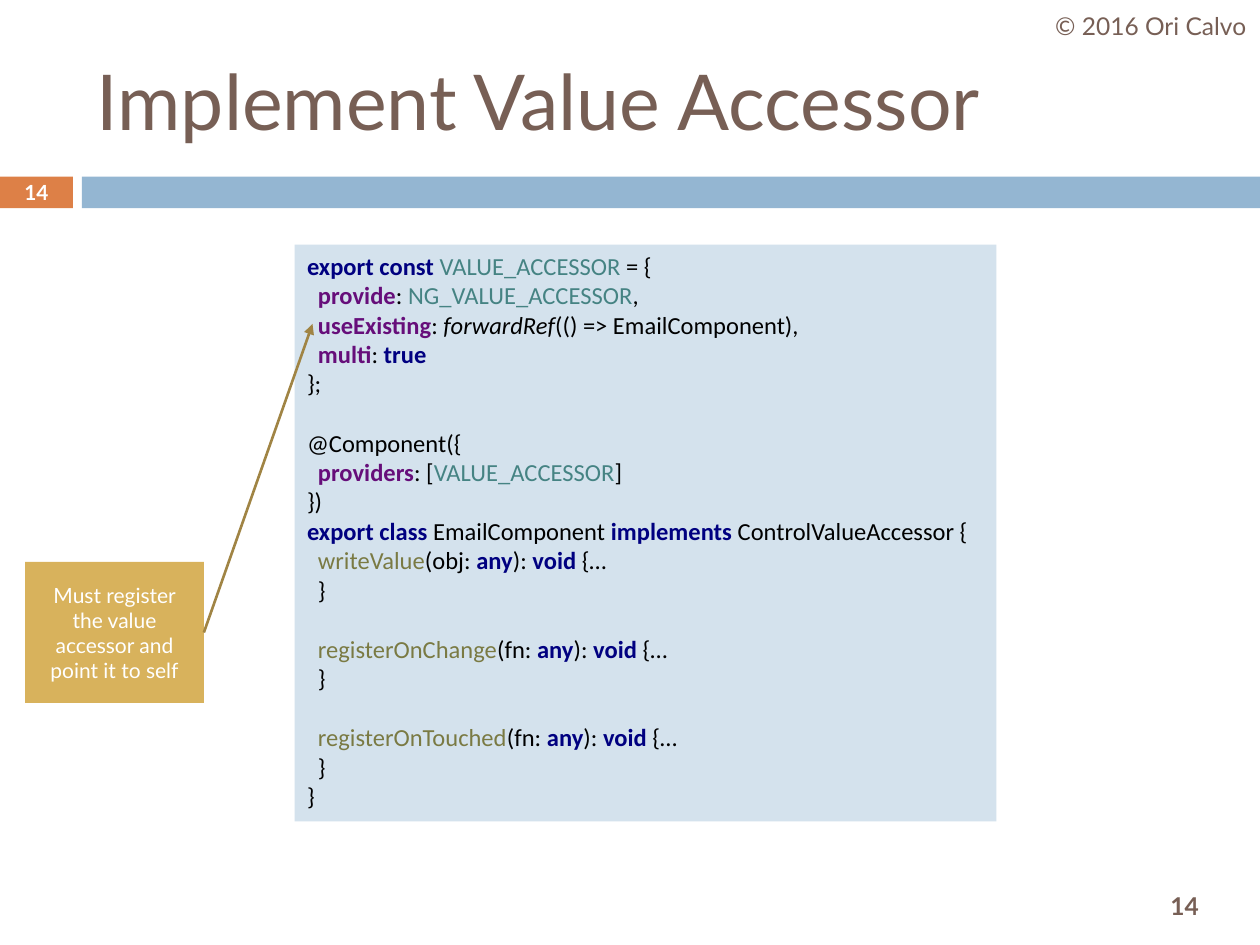
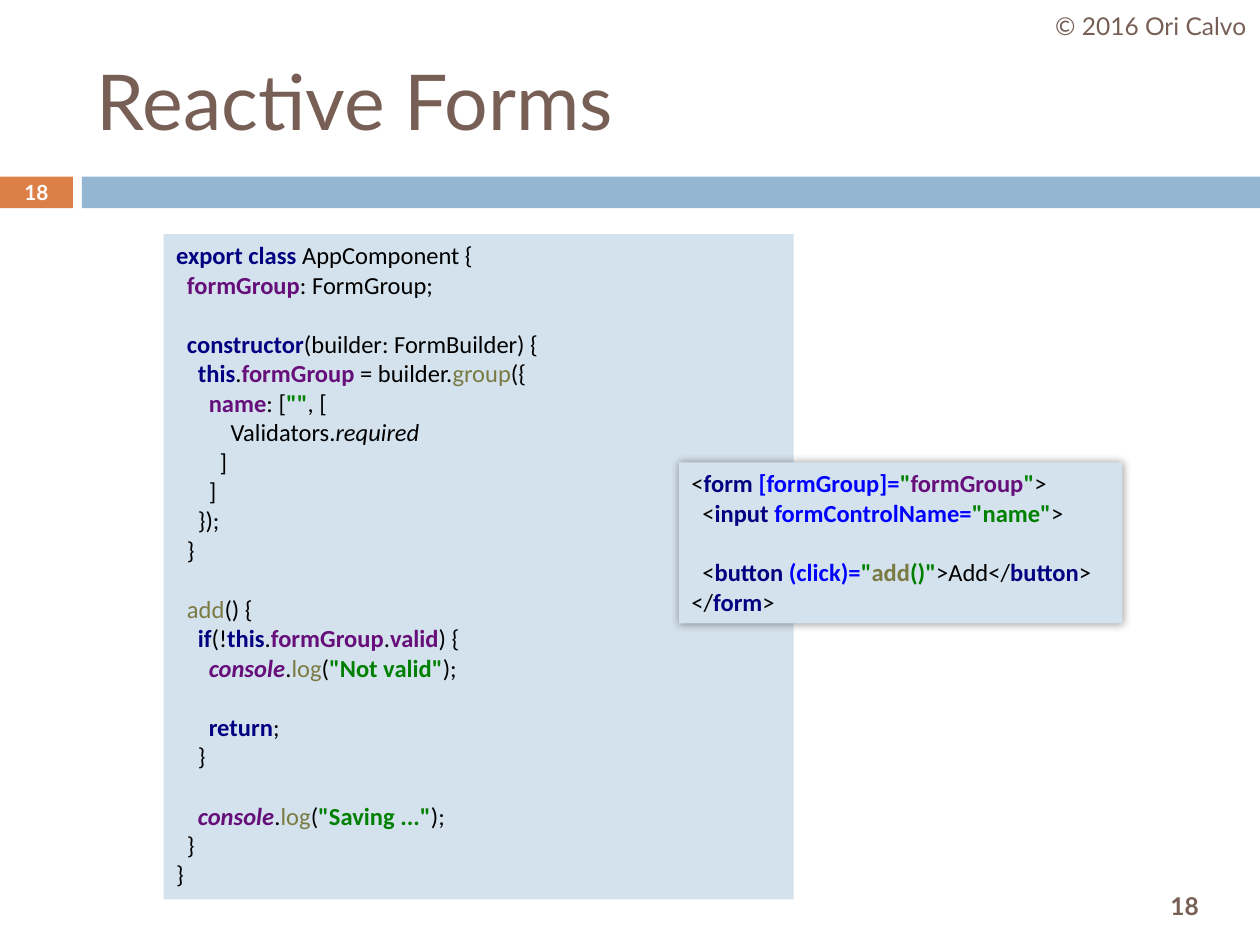
from dataclasses import dataclass

from lxml.etree import SubElement
from pptx import Presentation
from pptx.dml.color import RGBColor
from pptx.enum.shapes import MSO_CONNECTOR, MSO_SHAPE
from pptx.enum.text import MSO_ANCHOR, MSO_AUTO_SIZE, PP_ALIGN
from pptx.oxml.ns import qn
from pptx.util import Cm, Pt


@dataclass(frozen=True)
class Theme:
    heading_font: str = "Lato"
    code_font: str = "Calibri"
    brown: str = "775F55"
    orange: str = "DD8047"
    blue: str = "94B6D2"
    pale_blue: str = "D4E2ED"
    gold: str = "D8B25C"
    dark_gold: str = "A08444"
    white: str = "FFFFFF"
    black: str = "000000"
    title_size: float = 44
    code_size: float = 14
    small_size: float = 14
    badge_size: float = 11.9
    note_size: float = 12
    code_line: float = 17      # points, height of a blank code line
    code_space: float = 0.11   # centimetres, width of one leading space


THEME = Theme()

# Syntax colours: key -> (colour, font settings)
SYNTAX = {
    "key": ("000080", {"bold": True}),
    "const": ("458383", {}),
    "prop": ("660E7A", {"bold": True}),
    "global": ("660E7A", {"bold": True, "italic": True}),
    "func": ("7A7A43", {}),
    "call": ("7A7A43", {"bold": True}),
    "str": ("008000", {"bold": True}),
    "attr": ("0000FF", {"bold": True}),
    "static": (THEME.black, {"italic": True}),
}

# Code listings: `key:text` marks a coloured run
ACCESSOR_CODE = """
`key:export const ``const:VALUE_ACCESSOR `= {
  `prop:provide`: `const:NG_VALUE_ACCESSOR`,
  `prop:useExisting`: `static:forwardRef`(() => EmailComponent),
  `prop:multi`: `key:true`
};

@Component({
  `prop:providers`: [`const:VALUE_ACCESSOR`]
})
`key:export class `EmailComponent `key:implements `ControlValueAccessor {
  `func:writeValue`(obj: `key:any`): `key:void `{…
  }

  `func:registerOnChange`(fn: `key:any`): `key:void `{…
  }

  `func:registerOnTouched`(fn: `key:any`): `key:void `{…
  }
}
"""

COMPONENT_CODE = """
`key:export class `AppComponent {
  `prop:formGroup`: FormGroup;

  `key:constructor`(builder: FormBuilder) {
    `key:this`.`prop:formGroup `= builder.`func:group`({
      `prop:name`: [`str:""`, [
          Validators.`static:required`
        ]
      ]
    });
  }

  `func:add`() {
    `key:if`(!`key:this`.`prop:formGroup`.`prop:valid`) {
      `global:console`.`func:log`(`str:"Not valid"`);

      `key:return`;
    }

    `global:console`.`func:log`(`str:"Saving ..."`);
  }
}
"""

TEMPLATE_CODE = """
<`key:form ``attr:[formGroup]=``str:"``prop:formGroup``str:"`>
  <`key:input ``attr:formControlName=``str:"name"`>

  <`key:button ``attr:(click)=``str:"``call:add``str:()"`>Add</`key:button`>
</`key:form`>
"""


# Helpers
def apply_format(obj, values):
    for name, value in values.items():
        setattr(obj, name, value)


def add_run(p, text, color, **font):
    r = p.add_run()
    r.text = text
    apply_format(r.font, font)
    r.font.color.rgb = RGBColor.from_string(color)


def add_rect(s, box, fill):
    sp = s.shapes.add_shape(MSO_SHAPE.RECTANGLE, *map(Cm, box))
    sp.fill.solid()
    sp.fill.fore_color.rgb = RGBColor.from_string(fill)
    sp.line.fill.background()
    sp.shadow.inherit = False
    return sp


def write_label(sp, text, size, color, align=PP_ALIGN.CENTER, bold=False, wrap=True):
    tf = sp.text_frame
    apply_format(tf, {"word_wrap": wrap, "vertical_anchor": MSO_ANCHOR.MIDDLE})
    p = tf.paragraphs[0]
    p.alignment = align
    add_run(p, text, color, name=THEME.heading_font, size=Pt(size), bold=bold)


def add_label(s, box, *args, **kwargs):
    sp = s.shapes.add_textbox(*map(Cm, box))
    write_label(sp, *args, **kwargs)
    return sp


def write_code_line(p, line):
    for i, chunk in enumerate(line.split("`")):
        color, font = THEME.black, {}
        if i % 2:
            key, _, chunk = chunk.partition(":")
            color, font = SYNTAX[key]
        if chunk:
            add_run(p, chunk, color, name=THEME.code_font,
                    size=Pt(THEME.code_size), **font)


def add_code(s, box, code):
    """Code panel: leading spaces become indents, blank lines become spacing."""
    sp = add_rect(s, box, THEME.pale_blue)
    tf = sp.text_frame
    apply_format(tf, {"word_wrap": True, "vertical_anchor": MSO_ANCHOR.TOP,
                      "auto_size": MSO_AUTO_SIZE.SHAPE_TO_FIT_TEXT})
    p, gap = tf.paragraphs[0], 0
    for i, line in enumerate(code.strip().splitlines()):
        if not line:
            gap += THEME.code_line
            continue
        if i:
            p = tf.add_paragraph()
        text = line.lstrip()
        indent = Cm(THEME.code_space * (len(line) - len(text)))
        p._p.get_or_add_pPr().set("marL", str(indent))
        apply_format(p, {"alignment": PP_ALIGN.LEFT, "space_before": Pt(gap)})
        write_code_line(p, text)
        gap = 0
    return sp


def add_glow_shadow(sp, blur, alpha):
    effects = sp._element.spPr.find(qn("a:effectLst"))
    shadow = SubElement(effects, qn("a:outerShdw"), blurRad=str(Pt(blur)),
                        dist="0", dir="0", algn="ctr", rotWithShape="0")
    color = SubElement(shadow, qn("a:srgbClr"), val=THEME.black)
    SubElement(color, qn("a:alpha"), val=str(alpha * 1000))


def add_arrow(s, start, end_x, end_y):
    """Arrow from the right side of a shape to a point."""
    line = s.shapes.add_connector(MSO_CONNECTOR.STRAIGHT, 0, 0, Cm(end_x), Cm(end_y))
    line.begin_connect(start, 3)
    line.line.width = Pt(1.5)
    line.line.color.rgb = RGBColor.from_string(THEME.dark_gold)
    SubElement(line.line._get_or_add_ln(), qn("a:tailEnd"), type="triangle")
    SubElement(line._element.spPr, qn("a:effectLst"))


def add_base_slide(prs, title, number):
    """Slide with the shared band, title, copyright and numbers."""
    s = prs.slides.add_slide(prs.slide_layouts[6])
    add_rect(s, (0, 3.56, 1.47, 0.64), THEME.orange)
    add_rect(s, (1.65, 3.56, 23.75, 0.64), THEME.blue)
    add_label(s, (22.71, 17.73, 2.34, 1.07), number, THEME.small_size,
              THEME.brown, bold=True)
    add_label(s, (1.7, 0.64, 22.66, 2.74), title, THEME.title_size,
              THEME.brown, align=PP_ALIGN.LEFT)
    add_label(s, (21, 0, 4.4, 1.02), "© 2016 Ori Calvo", THEME.small_size,
              THEME.brown, wrap=False)
    badge = add_label(s, (0, 3.53, 1.47, 0.69), number, THEME.badge_size,
                      THEME.white, bold=True)
    apply_format(badge.text_frame, {"margin_top": 0, "margin_bottom": 0})
    return s


# Slides
def accessor_slide(prs):
    s = add_base_slide(prs, "Implement Value Accessor", "14")
    add_code(s, (5.94, 4.93, 14.15, 11.63), ACCESSOR_CODE)
    note = add_rect(s, (0.51, 11.33, 3.6, 2.84), THEME.gold)
    write_label(note, "Must register the value accessor and point it to self",
                THEME.note_size, THEME.white)
    add_arrow(s, note, 6.3, 6.53)


def reactive_slide(prs):
    s = add_base_slide(prs, "Reactive Forms", "18")
    add_code(s, (3.3, 4.72, 12.7, 13.41), COMPONENT_CODE)
    template = add_code(s, (13.69, 9.32, 8.94, 3.25), TEMPLATE_CODE)
    add_glow_shadow(template, blur=5, alpha=40)


def main():
    prs = Presentation()
    apply_format(prs, {"slide_width": Cm(25.4), "slide_height": Cm(19.05)})
    accessor_slide(prs)
    reactive_slide(prs)
    prs.save("out.pptx")


main()
